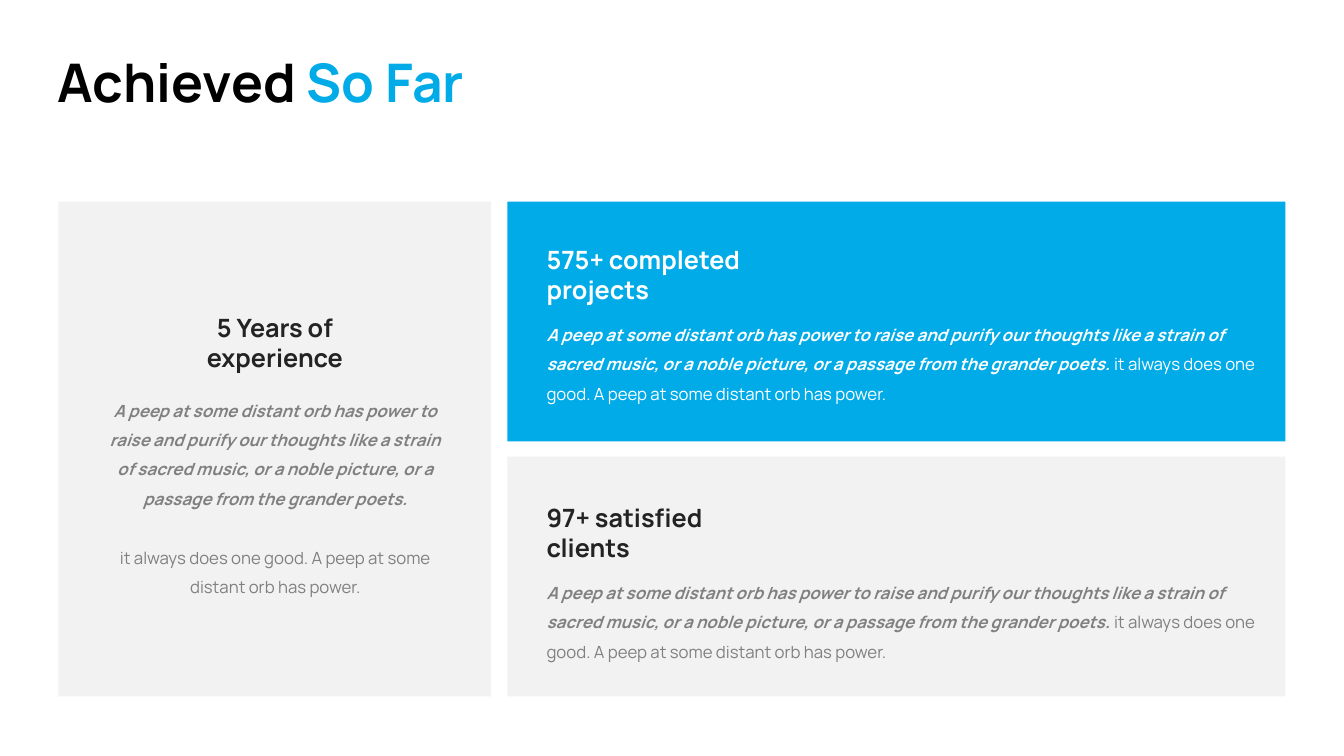
import pptx
import pptx.dml.color
import pptx.enum.shapes
import pptx.enum.text
import pptx.util

RGBColor = pptx.dml.color.RGBColor
Align = pptx.enum.text.PP_ALIGN
Inches, Pt = pptx.util.Inches, pptx.util.Pt

BLUE = RGBColor(0x00, 0xAB, 0xE7)
PALE = RGBColor(0xF2, 0xF2, 0xF2)
GREY = RGBColor(0x80, 0x80, 0x80)
DARK = RGBColor(0x23, 0x23, 0x23)
BLACK = RGBColor(0, 0, 0)
WHITE = RGBColor(0xFF, 0xFF, 0xFF)

QUOTE = ("A peep at some distant orb has power to raise and purify our thoughts "
         "like a strain of sacred music, or a noble picture, or a passage from "
         "the grander poets.")
REMARK = "it always does one good. A peep at some distant orb has power."


class SlideBuilder:
    """Holds the slide, its style and a grid of 36 columns by 2 rows."""

    font = "Manrope"
    left, top, width, height = 0.58, 2, 12.17, 4.91
    gutter, row_gap = 0.16, 0.15
    columns, rows = 36, 2

    def __init__(self, presentation):
        self.slide = presentation.slides.add_slide(presentation.slide_layouts[6])

    def cell(self, column, row, column_span, row_span):
        """Return left, top, width and height of a block of grid cells."""
        column_step = (self.width + self.gutter) / self.columns
        row_step = (self.height + self.row_gap) / self.rows
        return (self.left + column * column_step,
                self.top + row * row_step,
                column_span * column_step - self.gutter,
                row_span * row_step - self.row_gap)

    def panel(self, area, color):
        shape = self.slide.shapes.add_shape(
            pptx.enum.shapes.MSO_SHAPE.RECTANGLE, *map(Inches, area))
        shape.shadow.inherit = False
        shape.fill.solid()
        shape.fill.fore_color.rgb = color
        shape.line.fill.background()

    def text(self, area, paragraphs, size, align=Align.LEFT, wrap=False,
             line_spacing=None, space_before=None):
        """Each paragraph is a list of (words, color, bold, italic) runs."""
        frame = self.slide.shapes.add_textbox(*map(Inches, area)).text_frame
        frame.word_wrap = wrap
        frame.auto_size = pptx.enum.text.MSO_AUTO_SIZE.SHAPE_TO_FIT_TEXT
        for index, runs in enumerate(paragraphs):
            paragraph = frame.add_paragraph() if index else frame.paragraphs[0]
            paragraph.alignment = align
            paragraph.line_spacing = line_spacing
            if index:
                paragraph.space_before = space_before
            for words, color, bold, italic in runs:
                run = paragraph.add_run()
                run.text = words
                run.font.name = self.font
                run.font.size = Pt(size)
                run.font.color.rgb = color
                run.font.bold = bold
                run.font.italic = italic

    def heading(self, area, lines, color, align=Align.LEFT):
        self.text(area, [[(line, color, True, False)] for line in lines], 18, align)

    def body(self, area, paragraphs, align=Align.LEFT):
        self.text(area, paragraphs, 12, align, True, Pt(21), Pt(21))

    def wide_card(self, row, lines, heading_width, heading_drop, fill,
                  heading_color, body_color):
        area = self.cell(13, row, 23, 1)
        left, top = area[0] + 0.29, area[1] + heading_drop
        self.panel(area, fill)
        self.heading((left, top, heading_width, 0.71), lines, heading_color)
        self.body((left, top + 0.71, area[2] - 0.48, 0.95),
                  [[(QUOTE + " ", body_color, True, True),
                    (REMARK, body_color, False, False)]])

    def tall_card(self, lines, heading_width):
        area = self.cell(0, 0, 13, 2)
        left, top, width, _ = area
        self.panel(area, PALE)
        self.heading((left + (width - heading_width) / 2, top + 1.05,
                      heading_width, 0.71), lines, DARK, Align.CENTER)
        self.body((left + 0.31, top + 1.83, width - 0.61, 2.13),
                  [[(QUOTE, GREY, True, True)], [(REMARK, GREY, False, False)]],
                  Align.CENTER)


def main():
    presentation = pptx.Presentation()
    presentation.slide_width = Inches(13.33)
    presentation.slide_height = Inches(7.5)
    builder = SlideBuilder(presentation)

    # Title
    builder.text((0.47, 0.44, 4.56, 0.74),
                 [[("Achieved ", BLACK, True, False),
                   ("So Far", BLUE, True, False)]], 38)

    # Cards
    builder.tall_card(["5 Years of", "experience"], 1.65)
    builder.wide_card(0, ["575+ completed", "projects"], 2.29, 0.37,
                      BLUE, WHITE, WHITE)
    builder.wide_card(1, ["97+ satisfied", "clients"], 1.83, 0.4,
                      PALE, DARK, GREY)

    presentation.save("out.pptx")


if __name__ == "__main__":
    main()
